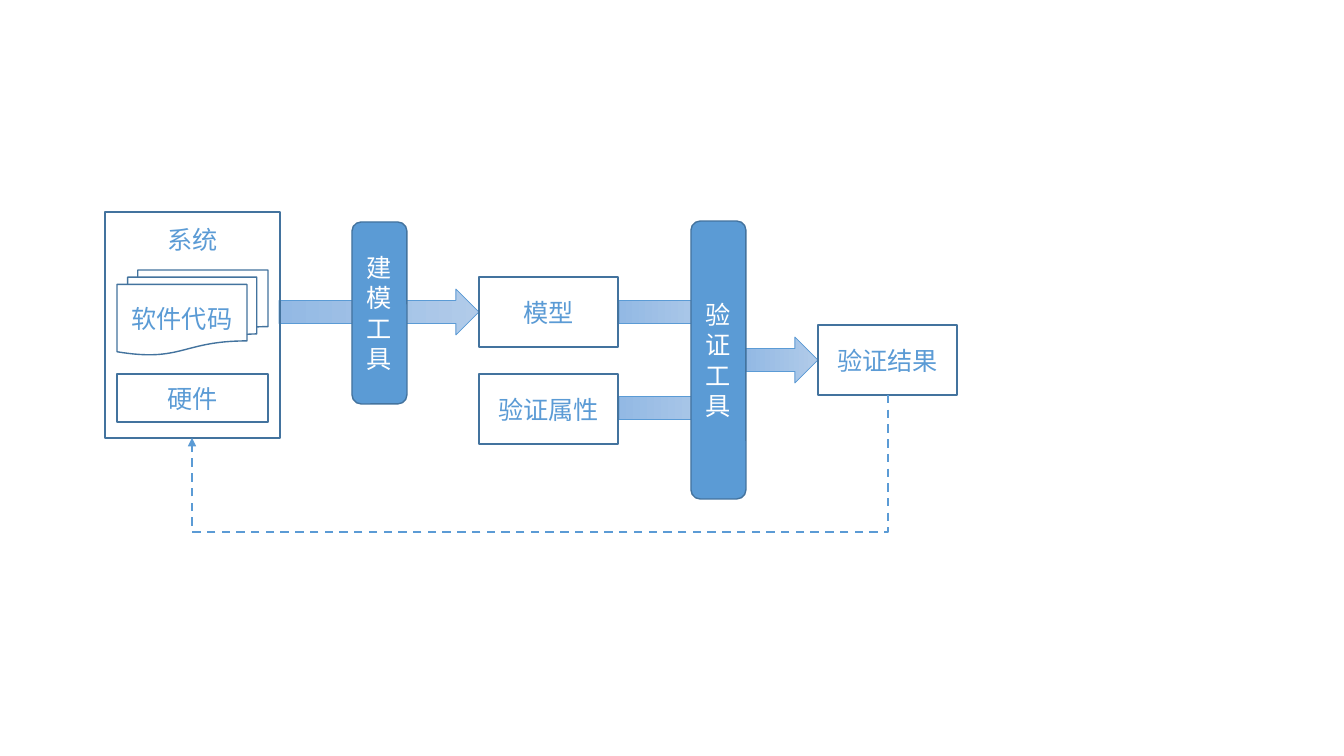
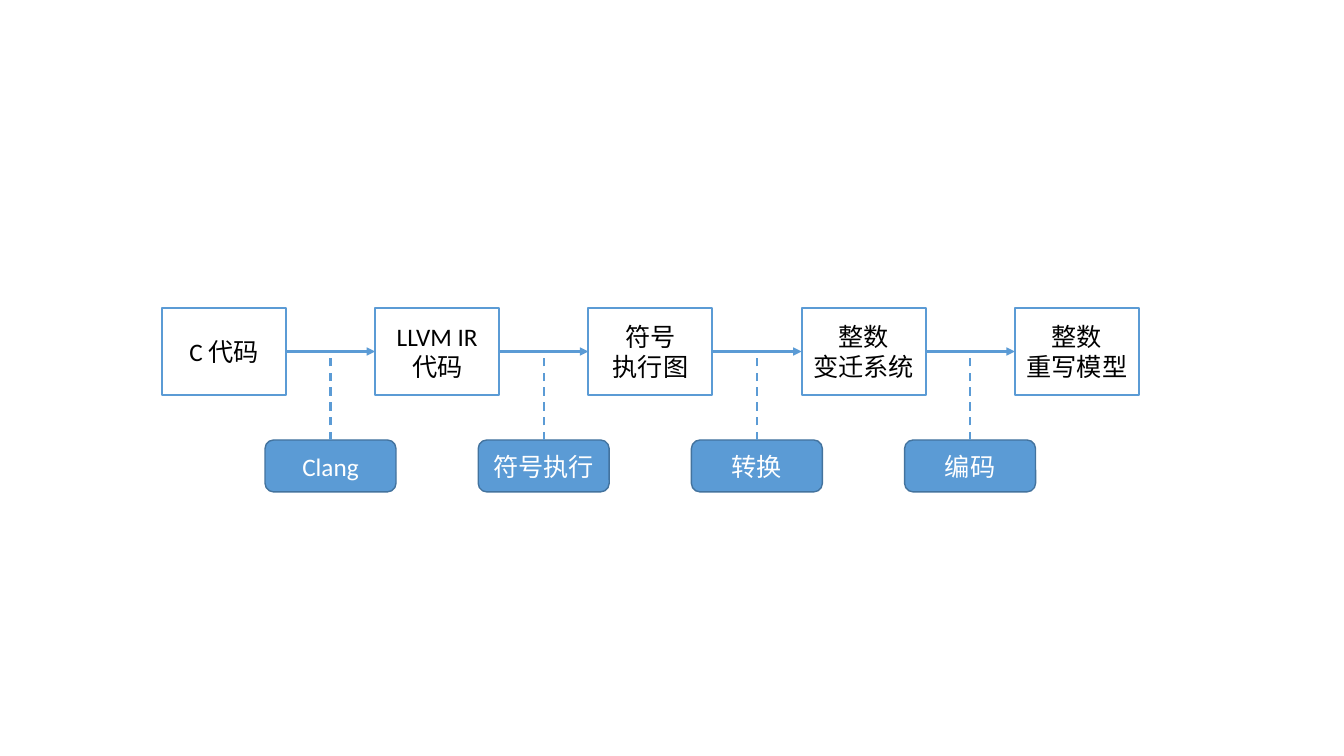
from pptx import Presentation
from pptx.dml.color import RGBColor
from pptx.enum.dml import MSO_LINE
from pptx.enum.shapes import MSO_CONNECTOR, MSO_SHAPE
from pptx.enum.text import MSO_ANCHOR, PP_ALIGN
from pptx.oxml.ns import qn
from pptx.util import Pt
from lxml.etree import SubElement

EMU_PER_INCH = 914400
PIXELS_PER_INCH = 100.8
COLORS = {
    "blue": "5B9BD5",
    "outline": "43739E",
    "flow_start": "93B9E4",
    "flow_end": "B1CBE9",
    "white": "FFFFFF",
    "black": "000000",
}
TOP, LEFT, BOTTOM, RIGHT = range(4)


def px(pixels):
    return round(pixels * EMU_PER_INCH / PIXELS_PER_INCH)


def color(name):
    return RGBColor.from_string(COLORS[name])


class Diagram:
    font = "Calibri"
    size = Pt(18)

    def __init__(self):
        self.deck = Presentation()
        self.deck.slide_width = px(1344)
        self.deck.slide_height = px(756)

    def new_slide(self):
        self.slide = self.deck.slides.add_slide(self.deck.slide_layouts[6])

    def group(self):
        return self.slide.shapes.add_group_shape().shapes

    def shape(self, kind, area, outline, width, shapes=None):
        target = self.slide.shapes if shapes is None else shapes
        shape = target.add_shape(kind, *map(px, area))
        shape.shadow.inherit = False
        shape.line.color.rgb = color(outline)
        shape.line.width = Pt(width)
        return shape

    def box(self, text, area, kind=MSO_SHAPE.RECTANGLE, fill=None, ink="blue",
            outline="outline", width=1, top_inset=None, shapes=None):
        box = self.shape(kind, area, outline, width, shapes)
        if fill:
            box.fill.solid()
            box.fill.fore_color.rgb = color(fill)
        else:
            box.fill.background()
        frame = box.text_frame
        frame.word_wrap = True
        frame.vertical_anchor = MSO_ANCHOR.MIDDLE
        if top_inset is not None:
            frame.vertical_anchor = MSO_ANCHOR.TOP
            frame.margin_top = px(top_inset)
        frame.text = text
        for paragraph in frame.paragraphs:
            paragraph.alignment = PP_ALIGN.CENTER
            paragraph.font.name = self.font
            paragraph.font.size = self.size
            paragraph.font.color.rgb = color(ink)
        return box

    def tool(self, text, area):
        return self.box(text, area, MSO_SHAPE.ROUNDED_RECTANGLE, "blue", "white")

    def flow(self, left, middle, length):
        thickness = 46
        arrow = self.shape(MSO_SHAPE.RIGHT_ARROW,
                           (left, middle - thickness // 2, length, thickness), "blue", 0.5)
        arrow.fill.gradient()
        arrow.fill.gradient_angle = 0
        for stop, name in zip(arrow.fill.gradient_stops, ("flow_start", "flow_end")):
            stop.color.rgb = color(name)

    def connector(self, start, end, width=1.5, dashed=False, arrow=False,
                  kind=MSO_CONNECTOR.STRAIGHT):
        link = self.slide.shapes.add_connector(kind, *map(px, start + end))
        link.line.color.rgb = color("blue")
        link.line.width = Pt(width)
        if dashed:
            link.line.dash_style = MSO_LINE.DASH
        properties = link.element.spPr
        if arrow:
            SubElement(properties.find(qn("a:ln")), qn("a:tailEnd"), type="triangle")
        SubElement(properties, qn("a:effectLst"))
        return link

    def feedback(self, start, end, turn):
        center_x, center_y = (start[0] + end[0]) / 2, (start[1] + end[1]) / 2
        rise, run = end[1] - start[1], start[0] - end[0]
        link = self.connector((center_x - rise / 2, center_y - run / 2),
                              (center_x + rise / 2, center_y + run / 2),
                              dashed=True, arrow=True, kind=MSO_CONNECTOR.ELBOW)
        link.rotation = 90
        properties = link.element.spPr
        properties.find(qn("a:xfrm")).set("rot", str(90 * 60000))
        adjustments = properties.find(qn("a:prstGeom")).get_or_add_avLst()
        bend = round((turn - start[1]) / rise * 100000)
        SubElement(adjustments, qn("a:gd"), name="adj1", fmla=f"val {bend}")


def verification_slide(diagram):
    diagram.new_slide()
    for left, middle, length in ((746, 360, 72), (619, 408, 105),
                                 (619, 312, 98), (279, 312, 200)):
        diagram.flow(left, middle, length)

    system = diagram.group()
    diagram.box("系统", (105, 212, 175, 226), width=1.5, top_inset=12, shapes=system)
    diagram.box("软件代码", (117, 270, 151, 85), MSO_SHAPE.FLOWCHART_MULTIDOCUMENT,
                shapes=system)
    diagram.box("硬件", (117, 374, 151, 48), shapes=system)

    for text, left, top in (("模型", 479, 277), ("验证结果", 818, 325),
                            ("验证属性", 479, 374)):
        diagram.box(text, (left, top, 139, 70))
    diagram.tool("建模工具", (352, 222, 55, 182))
    diagram.tool("验证工具", (691, 221, 55, 278))
    diagram.feedback((888, 395), (192, 438), 532)


def translation_slide(diagram):
    diagram.new_slide()
    stages = ("C 代码", "LLVM IR\n代码", "符号\n执行图", "整数\n变迁系统", "整数\n重写模型")
    steps = ("Clang", "符号执行", "转换", "编码")
    pitch, stage_left, step_left = 213.2, 162, 265
    stage_top, stage_width, stage_height = 308, 124, 87
    step_top, step_width, step_height = 440, 131, 52
    middle = stage_top + stage_height / 2

    stage_boxes = [
        diagram.box(text, (stage_left + i * pitch, stage_top, stage_width, stage_height),
                    fill="white", ink="black", outline="blue", width=1.5)
        for i, text in enumerate(stages)
    ]
    for source, target in zip(stage_boxes, stage_boxes[1:]):
        link = diagram.connector((0, 0), (0, 0), width=2, arrow=True)
        link.begin_connect(source, RIGHT)
        link.end_connect(target, LEFT)

    for i, text in enumerate(steps):
        left = step_left + i * pitch
        center = left + step_width / 2
        step = diagram.tool(text, (left, step_top, step_width, step_height))
        link = diagram.connector((center, step_top), (center, middle), dashed=True)
        link.begin_connect(step, TOP)


diagram = Diagram()
verification_slide(diagram)
translation_slide(diagram)
diagram.deck.save("out.pptx")
